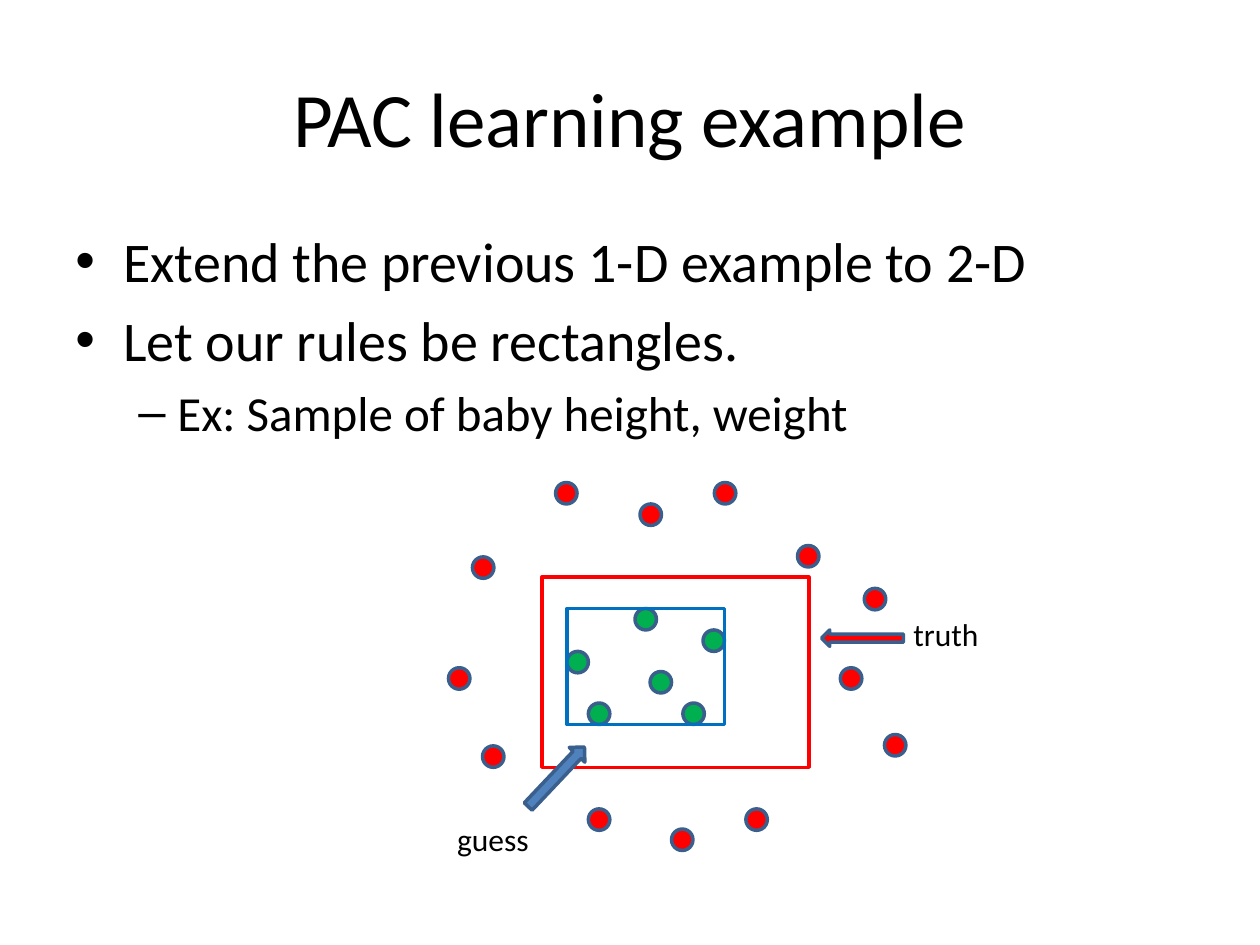
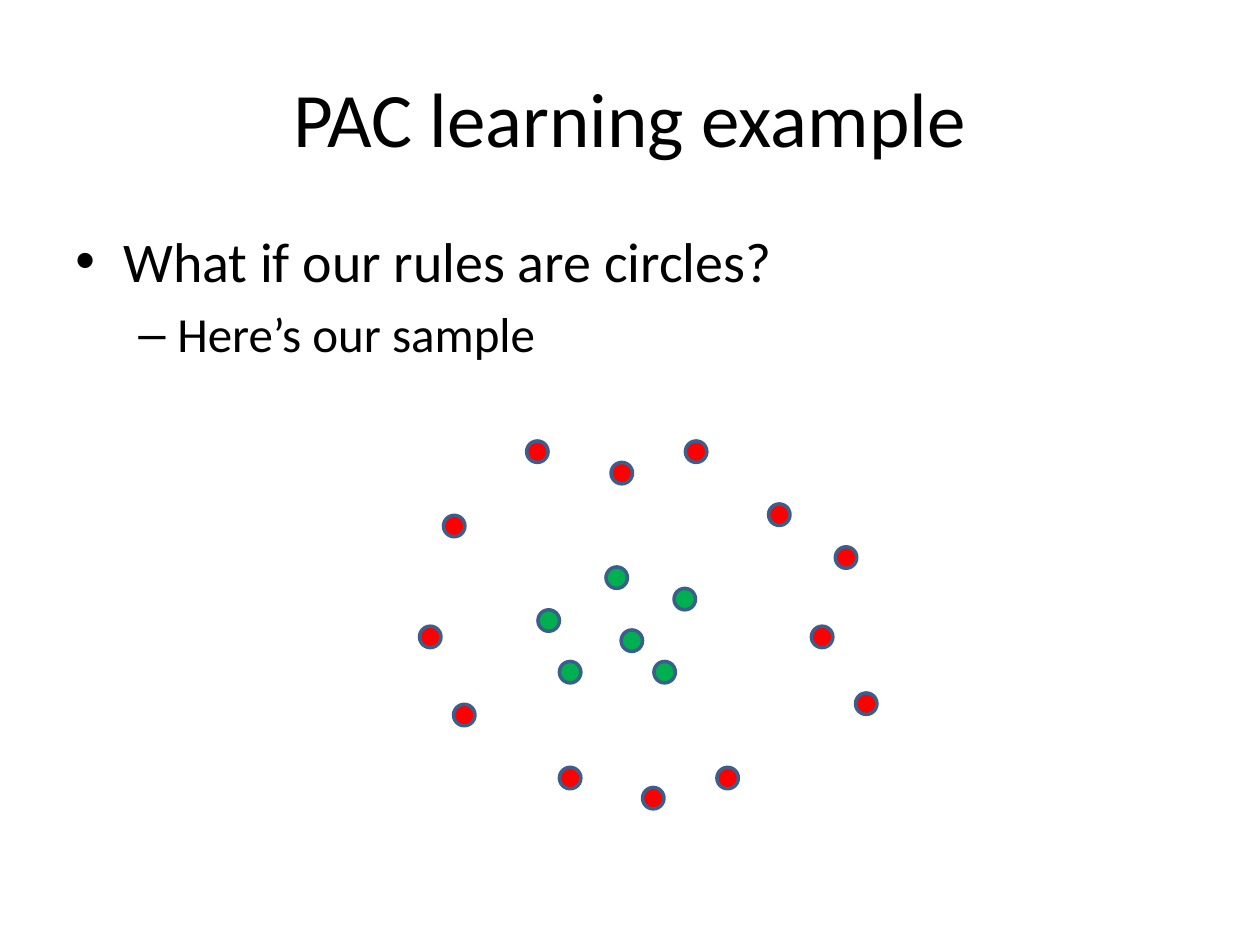
from lxml import etree
from pptx import Presentation, util as u
from pptx.dml.color import RGBColor
from pptx.enum import shapes, text
from pptx.oxml.ns import qn

PX = 9144
FONT = "Calibri"
COLORS = {
    "text": "000000",
    "negative": "FF0000",
    "positive": "00B050",
    "outline": "3A5F8C",
    "guess": "0070C0",
    "truth": "FF0000",
    "arrow": "4F81BD",
}
DOT = 17
LEVELS = [
    {"size": 32, "left": 38, "hang": 38, "bullet": "•"},
    {"size": 28, "left": 81, "hang": 31, "bullet": "–"},
]
SAMPLE = {
    "negative": [
        (383, 592), (375, 442), (508, 400), (356, 530), (567, 383), (441, 383), (633, 433),
        (702, 583), (686, 467), (667, 530), (533, 658), (592, 642), (467, 642),
    ],
    "positive": [(542, 558), (558, 500), (516, 533), (504, 483), (450, 517), (467, 558)],
}
SLIDES = [
    {
        "points": [
            (0, "Extend the previous 1-D example to 2-D"),
            (0, "Let our rules be rectangles."),
            (1, "Ex: Sample of baby height, weight"),
        ],
        "shift": (0, 0),
    },
    {
        "points": [(0, "What if our rules are circles?"), (1, "Here’s our sample")],
        "shift": (-23, -33),
    },
]


def add_text(slide, box, lines, sizes, wrap=True):
    frame = slide.shapes.add_textbox(*(n * PX for n in box)).text_frame
    frame.word_wrap = wrap
    frame.text = "\n".join(lines)
    for paragraph, size in zip(frame.paragraphs, sizes):
        for run in paragraph.runs:
            run.font.name = FONT
            run.font.size = u.Pt(size)
            run.font.color.rgb = RGBColor.from_string(COLORS["text"])
    return frame


def add_figure(slide, kind, box, fill, line, rotation=0):
    figure = slide.shapes.add_shape(kind, *(n * PX for n in box))
    figure.shadow.inherit = False
    figure.rotation = rotation
    if fill:
        figure.fill.solid()
        figure.fill.fore_color.rgb = RGBColor.from_string(COLORS[fill])
    else:
        figure.fill.background()
    figure.line.color.rgb = RGBColor.from_string(COLORS[line])
    figure.line.width = u.Pt(2)


deck = Presentation()
deck.slide_width, deck.slide_height = 1000 * PX, 750 * PX

for content in SLIDES:
    slide = deck.slides.add_slide(deck.slide_layouts[6])

    title = add_text(slide, (50, 30, 900, 125), ["PAC learning example"], [44])
    title.vertical_anchor = text.MSO_ANCHOR.MIDDLE
    title.paragraphs[0].alignment = text.PP_ALIGN.CENTER

    levels = [LEVELS[depth] for depth, _ in content["points"]]
    body = add_text(slide, (50, 175, 900, 495), [words for _, words in content["points"]],
                    [level["size"] for level in levels])
    for index, (point, level) in enumerate(zip(body.paragraphs, levels)):
        point.level = LEVELS.index(level)
        properties = point._p.get_or_add_pPr()
        properties.set("marL", str(level["left"] * PX))
        properties.set("indent", str(-level["hang"] * PX))
        etree.SubElement(properties, qn("a:buFont"), typeface="Arial")
        etree.SubElement(properties, qn("a:buChar"), char=level["bullet"])
        if index:
            point.space_before = u.Pt(level["size"] * 0.2)

    dx, dy = content["shift"]
    for group, spots in SAMPLE.items():
        for x, y in spots:
            add_figure(slide, shapes.MSO_SHAPE.OVAL, (x + dx, y + dy, DOT, DOT), group, "outline")

rules = deck.slides[0]
for rule, box in [("guess", (450, 483, 125, 92)), ("truth", (430, 458, 212, 151))]:
    add_figure(rules, shapes.MSO_SHAPE.RECTANGLE, box, None, rule)
for label, box in [("guess", (353, 646, 78, 40)), ("truth", (715, 483, 72, 40))]:
    add_text(rules, box, [label], [18], wrap=False)
for fill, box, rotation in [("arrow", (433, 584, 17, 65), 223.4), ("truth", (678, 474, 13, 65), 90)]:
    add_figure(rules, shapes.MSO_SHAPE.DOWN_ARROW, box, fill, "outline", rotation)

deck.save("out.pptx")
